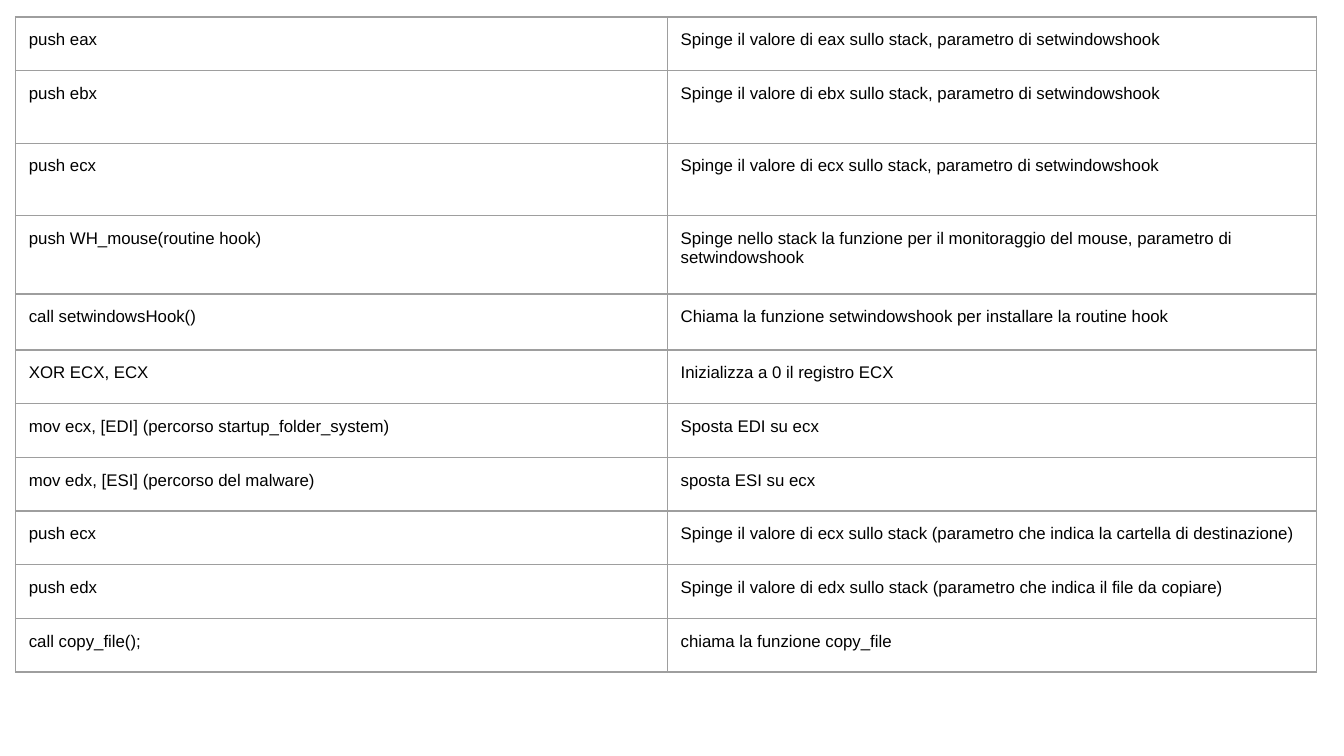
import pptx
import pptx.util
import pptx.dml.color
import pptx.oxml
import pptx.oxml.ns

Pt = pptx.util.Pt

COLORS = {"text": "000000", "border": "9E9E9E"}

SHORT, MEDIUM, TALL, CALL = 28.75, 38.85, 42, 30

INSTRUCTIONS = [
    ("push eax", "Spinge il valore di eax sullo stack, parametro di setwindowshook", SHORT),
    ("push ebx", "Spinge il valore di ebx sullo stack, parametro di setwindowshook", MEDIUM),
    ("push ecx", "Spinge il valore di ecx sullo stack, parametro di setwindowshook", MEDIUM),
    ("push WH_mouse(routine hook)",
     "Spinge nello stack la funzione per il monitoraggio del mouse, parametro di setwindowshook", TALL),
    ("call setwindowsHook()", "Chiama la funzione setwindowshook per installare la routine hook", CALL),
    ("XOR ECX, ECX", "Inizializza a 0 il registro ECX", SHORT),
    ("mov ecx, [EDI] (percorso startup_folder_system)", "Sposta EDI su ecx", SHORT),
    ("mov edx, [ESI] (percorso del malware)", "sposta ESI su ecx", SHORT),
    ("push ecx",
     "Spinge il valore di ecx sullo stack (parametro che indica la cartella di destinazione)", SHORT),
    ("push edx", "Spinge il valore di edx sullo stack (parametro che indica il file da copiare)", SHORT),
    ("call copy_file();", "chiama la funzione copy_file", SHORT),
]

LEFT, TOP = 8.25, 9.15
COLUMN_WIDTHS = (349.2, 347.8)
PADDING = 7.2
BORDER_WIDTH = 0.75


def add_borders(cell):
    properties = cell._tc.get_or_add_tcPr()
    for position, side in enumerate(("lnL", "lnR", "lnT", "lnB")):
        border = pptx.oxml.parse_xml(
            f'<a:{side} {pptx.oxml.ns.nsdecls("a")} w="{Pt(BORDER_WIDTH)}">'
            f'<a:solidFill><a:srgbClr val="{COLORS["border"]}"/></a:solidFill></a:{side}>'
        )
        properties.insert(position, border)


def write_cell(cell, text):
    cell.margin_left = cell.margin_right = Pt(PADDING)
    cell.margin_top = cell.margin_bottom = Pt(PADDING)
    cell.fill.background()
    add_borders(cell)
    cell.text = text
    font = cell.text_frame.paragraphs[0].font
    font.name = "Arial"
    font.size = Pt(9)
    font.bold = False
    font.color.rgb = pptx.dml.color.RGBColor.from_string(COLORS["text"])


def main():
    deck = pptx.Presentation()
    deck.slide_width, deck.slide_height = Pt(720), Pt(405)
    slide = deck.slides.add_slide(deck.slide_layouts[6])

    total_height = sum(height for _, _, height in INSTRUCTIONS)
    listing = slide.shapes.add_table(
        len(INSTRUCTIONS), len(COLUMN_WIDTHS),
        Pt(LEFT), Pt(TOP), Pt(sum(COLUMN_WIDTHS)), Pt(total_height),
    ).table
    listing.first_row = listing.horz_banding = False

    for column, width in zip(listing.columns, COLUMN_WIDTHS):
        column.width = Pt(width)
    for row, (instruction, explanation, height) in zip(listing.rows, INSTRUCTIONS):
        row.height = Pt(height)
        for cell, text in zip(row.cells, (instruction, explanation)):
            write_cell(cell, text)

    deck.save("out.pptx")


if __name__ == "__main__":
    main()
